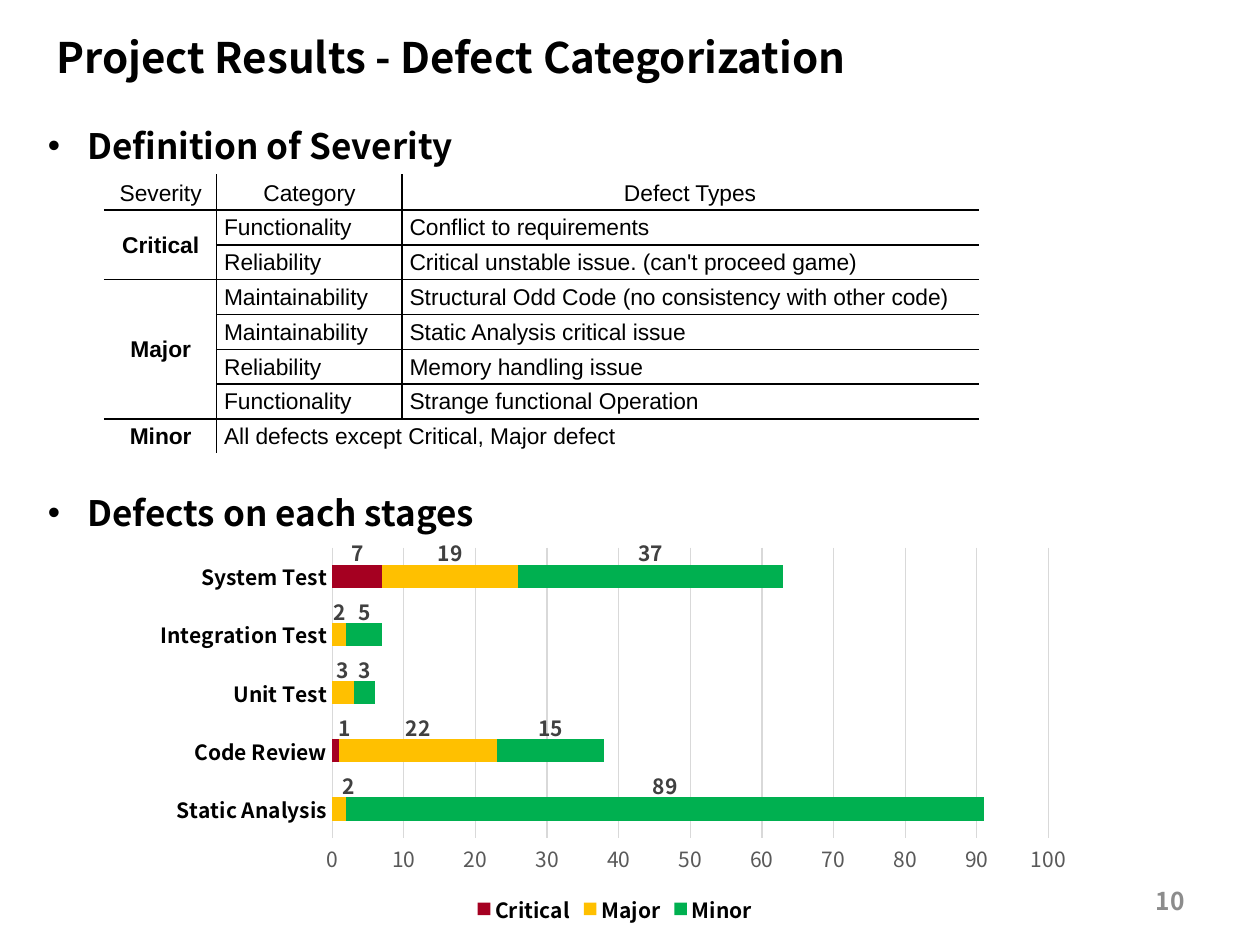
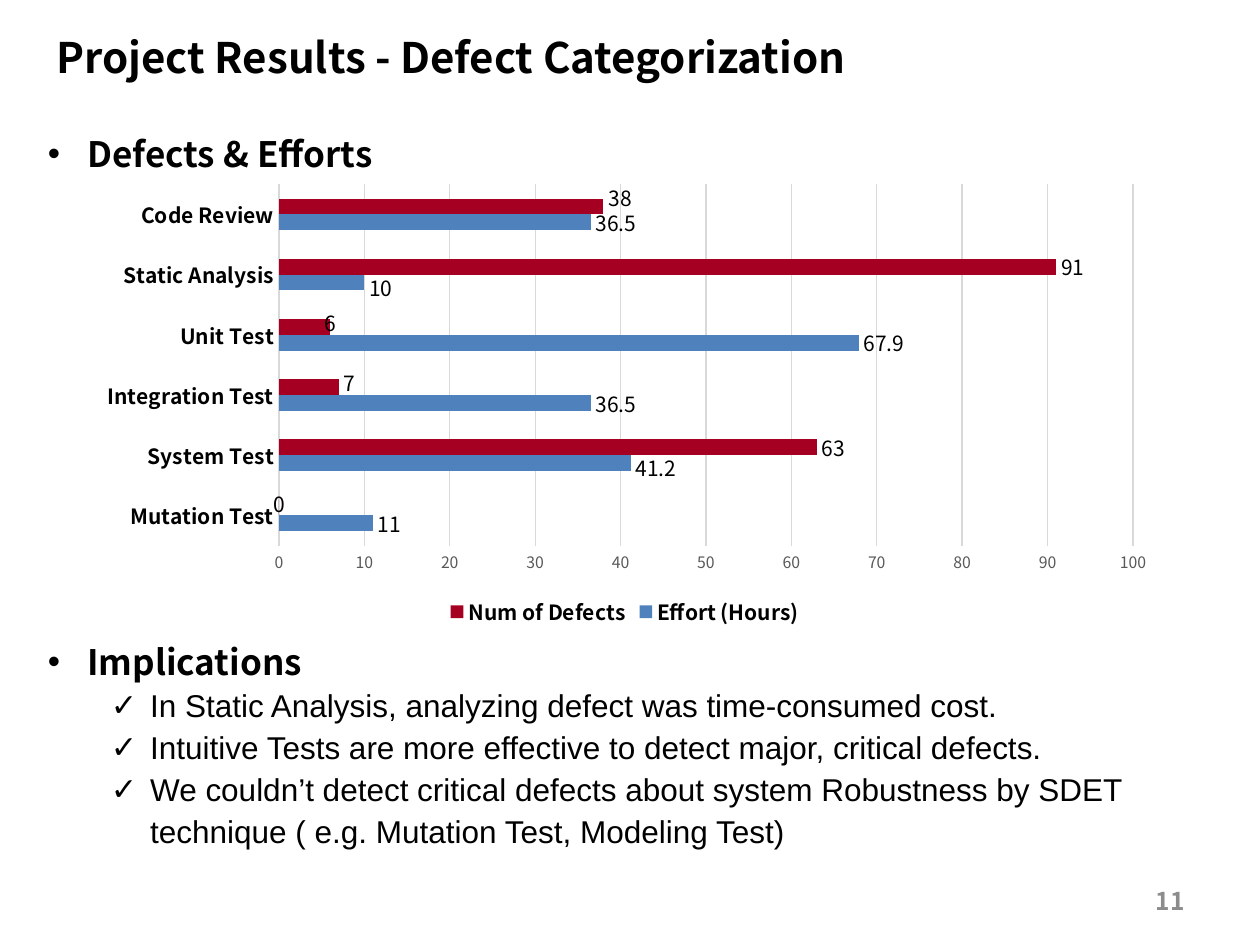
from dataclasses import dataclass

from lxml import etree
from pptx import Presentation
from pptx.chart.data import CategoryChartData
from pptx.dml.color import RGBColor
from pptx.enum import chart as charts, text
from pptx.oxml import ns
from pptx.util import Pt


@dataclass(frozen=True)
class Theme:
    heading_font: str = "Noto Sans CJK KR"
    body_font: str = "Arial"
    ink: RGBColor = RGBColor(0, 0, 0)
    paper: RGBColor = RGBColor(255, 255, 255)
    page_gray: RGBColor = RGBColor.from_string("8C8C8C")
    label_gray: RGBColor = RGBColor.from_string("404040")
    scale_gray: RGBColor = RGBColor.from_string("595959")
    grid_gray: RGBColor = RGBColor.from_string("D9D9D9")
    crimson: RGBColor = RGBColor.from_string("A50021")
    amber: RGBColor = RGBColor.from_string("FFC000")
    green: RGBColor = RGBColor.from_string("00B050")
    blue: RGBColor = RGBColor.from_string("4F81BD")
    title: int = 24
    heading: int = 20
    point: int = 18
    page: int = 14
    cell: int = 13
    chart: int = 12
    small_scale: int = 9


theme = Theme()


def style(font, size, color=theme.ink, bold=False, name=theme.heading_font):
    font.name, font.size, font.bold = name, Pt(size), bold
    font.color.rgb = color


def place(parent, index, **fractions):
    layout = etree.Element(ns.qn("c:layout"))
    manual = etree.SubElement(layout, ns.qn("c:manualLayout"))
    if "w" in fractions:
        etree.SubElement(manual, ns.qn("c:layoutTarget"), val="inner")
        for mode in ("xMode", "yMode"):
            etree.SubElement(manual, ns.qn(f"c:{mode}"), val="edge")
    for side, fraction in fractions.items():
        etree.SubElement(manual, ns.qn(f"c:{side}"), val=str(fraction))
    parent.insert(index, layout)


pages = [
    {
        "number": "10",
        "outline": [
            ((20.2, 60.5, 668.9, 38.9), "Definition of Severity", []),
            ((20.2, 270, 481.7, 38.9), "Defects on each stages", []),
        ],
        "chart": {
            "box": (82.1, 303.8, 538.6, 227.5),
            "plot": {"x": 0.2, "y": 0.04, "w": 0.76, "h": 0.73},
            "kind": charts.XL_CHART_TYPE.BAR_STACKED,
            "gap": 150,
            "overlap": 100,
            "scale_size": theme.chart,
            "label_place": charts.XL_LABEL_POSITION.CENTER,
            "label_color": theme.label_gray,
            "label_bold": True,
            "stages": ["Static Analysis", "Code Review", "Unit Test", "Integration Test", "System Test"],
            "series": [
                ("Critical", theme.crimson, [None, 1, None, None, 7]),
                ("Major", theme.amber, [2, 22, 3, 2, 19]),
                ("Minor", theme.green, [89, 15, 3, 5, 37]),
            ],
            "usual_shift": (0, -0.06),
            "shifts": {
                ("Critical", "Code Review"): (0.01, -0.06),
                ("Major", "Static Analysis"): (0.01, -0.06),
            },
        },
    },
    {
        "number": "11",
        "outline": [
            ((20.2, 64.8, 668.9, 35.3), "Defects & Efforts", []),
            ((20.2, 355, 668.9, 159.8), "Implications", [
                "In Static Analysis, analyzing defect was time-consumed cost.",
                "Intuitive Tests are more effective to detect major, critical defects.",
                "We couldn’t detect critical defects about system Robustness by SDET technique ( e.g. Mutation Test, Modeling Test)",
            ]),
        ],
        "chart": {
            "box": (48.2, 100.1, 617.8, 261.4),
            "plot": {"x": 0.18, "y": 0.02, "w": 0.79, "h": 0.79},
            "kind": charts.XL_CHART_TYPE.BAR_CLUSTERED,
            "gap": 182,
            "overlap": 0,
            "scale_size": theme.small_scale,
            "label_place": charts.XL_LABEL_POSITION.OUTSIDE_END,
            "label_color": theme.ink,
            "label_bold": False,
            "stages": ["Mutation Test", "System Test", "Integration Test", "Unit Test", "Static Analysis", "Code Review"],
            "series": [
                ("Effort (Hours)", theme.blue, [11, 41.2, 36.5, 67.9, 10, 36.5]),
                ("Num of Defects", theme.crimson, [0, 63, 7, 6, 91, 38]),
            ],
            "usual_shift": None,
            "shifts": {
                ("Effort (Hours)", "System Test"): (0, 0.01),
                ("Effort (Hours)", "Static Analysis"): (0, 0.01),
                ("Num of Defects", "Mutation Test"): (-0.01, -0.01),
                ("Num of Defects", "Integration Test"): (0, -0.01),
                ("Num of Defects", "Unit Test"): (-0.01, -0.01),
                ("Num of Defects", "Code Review"): (0, -0.02),
            },
        },
    },
]

severity_rows = [
    ("Severity", "Category", "Defect Types"),
    ("Critical", "Functionality", "Conflict to requirements"),
    ("", "Reliability", "Critical unstable issue. (can't proceed game)"),
    ("Major", "Maintainability", "Structural Odd Code (no consistency with other code)"),
    ("", "Maintainability", "Static Analysis critical issue"),
    ("", "Reliability", "Memory handling issue"),
    ("", "Functionality", "Strange functional Operation"),
    ("Minor", "All defects except Critical, Major defect", ""),
]
severity_spans = [((1, 0), (2, 0)), ((3, 0), (6, 0)), ((7, 1), (7, 2))]

deck = Presentation()
deck.slide_width, deck.slide_height = Pt(720), Pt(540)

for page in pages:
    slide = deck.slides.add_slide(deck.slide_layouts[6])
    captions = [
        ((516.2, 500.4, 167.8, 28.8), page["number"], theme.page, theme.page_gray,
         text.PP_ALIGN.RIGHT, text.MSO_ANCHOR.MIDDLE),
        ((25.2, 14.4, 550, 36), "Project Results - Defect Categorization", theme.title, theme.ink,
         text.PP_ALIGN.LEFT, text.MSO_ANCHOR.TOP),
    ]
    for box, words, size, color, align, anchor in captions:
        frame = slide.shapes.add_textbox(*map(Pt, box)).text_frame
        frame.word_wrap, frame.vertical_anchor = True, anchor
        caption = frame.paragraphs[0]
        caption.alignment = align
        run = caption.add_run()
        run.text = words
        style(run.font, size, color, True)

    for box, heading, points in page["outline"]:
        frame = slide.shapes.add_textbox(*map(Pt, box)).text_frame
        frame.word_wrap = True
        frame.auto_size = text.MSO_AUTO_SIZE.SHAPE_TO_FIT_TEXT
        for order, words in enumerate([heading, *points]):
            line = frame.add_paragraph() if order else frame.paragraphs[0]
            line.level = 1 if order else 0
            props = line._p.get_or_add_pPr()
            props.set("marL", str(Pt(58.5 if order else 22.5)))
            props.set("indent", str(Pt(-22.5)))
            etree.SubElement(props, ns.qn("a:buFont"), typeface=theme.body_font)
            etree.SubElement(props, ns.qn("a:buChar"), char="✓" if order else "•")
            line.line_spacing = Pt(24) if order else 1.3
            run = line.add_run()
            run.text = words
            if order:
                style(run.font, theme.point, name=theme.body_font)
            else:
                style(run.font, theme.heading, bold=True)

    plan = page["chart"]
    figures = CategoryChartData()
    figures.categories = plan["stages"]
    for name, color, counts in plan["series"]:
        figures.add_series(name, counts)
    chart = slide.shapes.add_chart(plan["kind"], *map(Pt, plan["box"]), figures).chart
    style(chart.font, theme.chart)
    chart.has_title = False
    chart.has_legend = True
    chart.legend.position = charts.XL_LEGEND_POSITION.BOTTOM
    chart.legend.include_in_layout = False
    style(chart.legend.font, theme.chart, bold=True)

    plot_area = chart._chartSpace.chart.plotArea
    for automatic in plot_area.findall(ns.qn("c:layout")):
        plot_area.remove(automatic)
    place(plot_area, 0, **plan["plot"])

    stage_axis, scale = chart.category_axis, chart.value_axis
    for axis in (stage_axis, scale):
        axis.major_tick_mark = axis.minor_tick_mark = charts.XL_TICK_MARK.NONE
    style(stage_axis.tick_labels.font, theme.chart, bold=True)
    style(scale.tick_labels.font, plan["scale_size"], theme.scale_gray)
    scale.minimum_scale, scale.maximum_scale, scale.major_unit = 0, 100, 10
    scale.has_major_gridlines = True
    for rule in (stage_axis.format.line, scale.major_gridlines.format.line):
        rule.color.rgb, rule.width = theme.grid_gray, Pt(0.75)
    scale.format.line.fill.background()

    bars = chart.plots[0]
    bars.vary_by_categories = False
    bars.gap_width, bars.overlap = plan["gap"], plan["overlap"]
    for series, (name, color, counts) in zip(bars.series, plan["series"]):
        series.format.fill.solid()
        series.format.fill.fore_color.rgb = color
        series.invert_if_negative = False
        labels = series.data_labels
        labels.show_value, labels.position = True, plan["label_place"]
        style(labels.font, theme.chart, plan["label_color"], plan["label_bold"])
        for order, (stage, count) in enumerate(zip(plan["stages"], counts)):
            shift = plan["shifts"].get((name, stage), plan["usual_shift"])
            if count is None or shift is None:
                continue
            label = series.points[order].data_label
            label.position = plan["label_place"]
            style(label.font, theme.chart, plan["label_color"], plan["label_bold"])
            moved = series._element.xpath(f"c:dLbls/c:dLbl[c:idx/@val='{order}']")[0]
            place(moved, 1, x=shift[0], y=shift[1])

severity = deck.slides[0].shapes.add_table(8, 3, Pt(59.8), Pt(100.1), Pt(499), Pt(159.2)).table
severity.first_row = severity.horz_banding = False
for column, width in zip(severity.columns, (64, 106, 329)):
    column.width = Pt(width)
for band in severity.rows:
    band.height = Pt(19.9)
for first, last in severity_spans:
    severity.cell(*first).merge(severity.cell(*last))

for r, row in enumerate(severity_rows):
    for c, words in enumerate(row):
        cell = severity.cell(r, c)
        centred = r == 0 or c == 0
        cell.vertical_anchor = text.MSO_ANCHOR.MIDDLE
        cell.margin_left = Pt(0.7 if centred else 4.3)
        cell.margin_right = cell.margin_top = Pt(0.7)
        cell.margin_bottom = Pt(0)
        outer_sides = {"lnL": c == 0, "lnR": c == 2 or (r, c) == (7, 1), "lnT": r == 0,
                       "lnB": r == 7}
        for side, outer in outer_sides.items():
            border = etree.SubElement(cell._tc.get_or_add_tcPr(), ns.qn(f"a:{side}"), w=str(Pt(1)))
            paint = etree.SubElement(border, ns.qn("a:solidFill"))
            etree.SubElement(paint, ns.qn("a:srgbClr"), val=str(theme.paper if outer else theme.ink))
        cell.fill.background()
        if words:
            entry = cell.text_frame.paragraphs[0]
            entry.alignment = text.PP_ALIGN.CENTER if centred else text.PP_ALIGN.LEFT
            run = entry.add_run()
            run.text = words
            style(run.font, theme.cell, bold=r > 0 and c == 0, name=theme.body_font)

deck.save("out.pptx")
